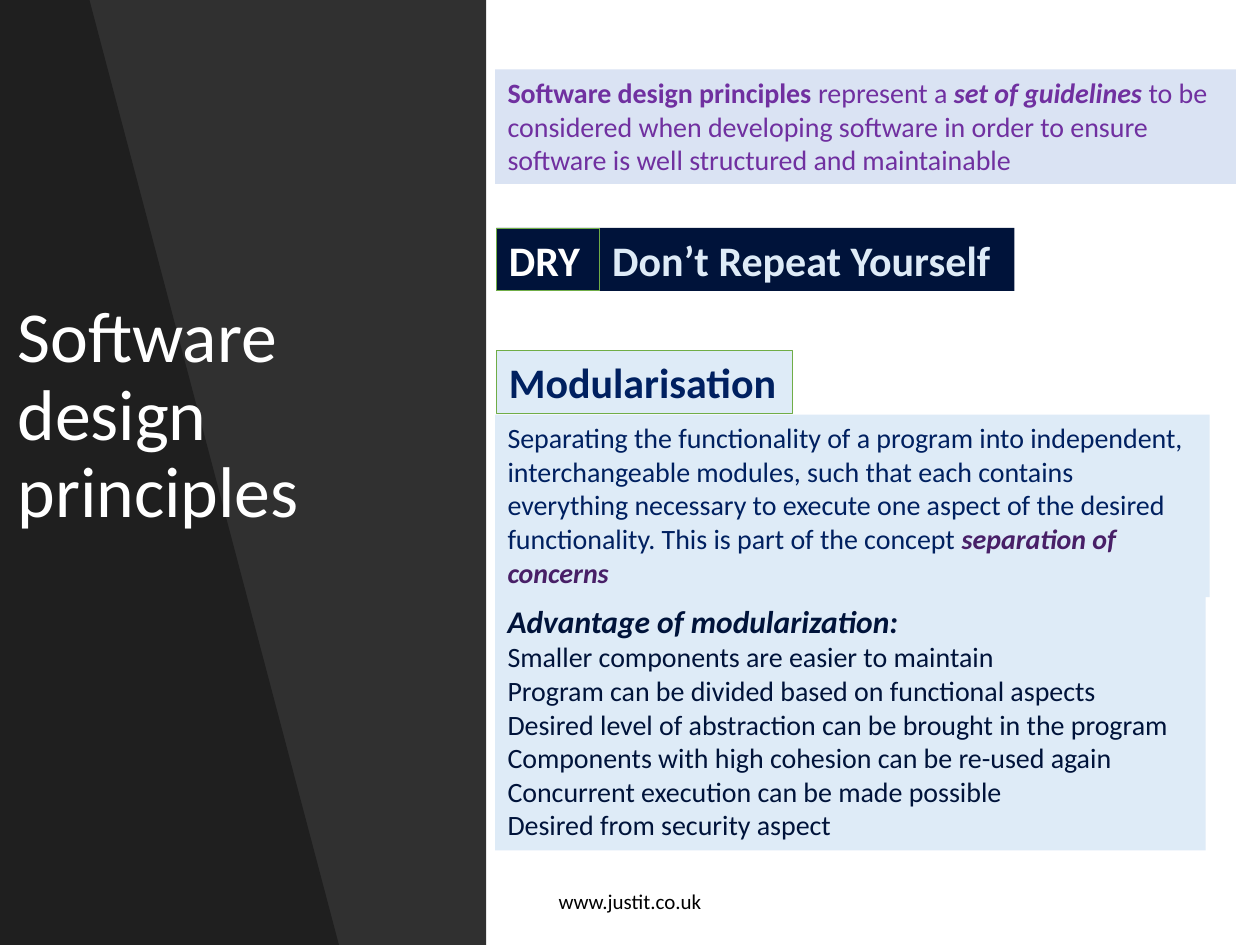
"""Build the software design principles slide."""
from pptx import Presentation
from pptx.dml.color import RGBColor
from pptx.enum.shapes import MSO_SHAPE
from pptx.enum.text import MSO_ANCHOR, PP_ALIGN
from pptx.util import Inches, Pt

RECT = MSO_SHAPE.RECTANGLE
TOP, MIDDLE = MSO_ANCHOR.TOP, MSO_ANCHOR.MIDDLE
LEFT, CENTER = PP_ALIGN.LEFT, PP_ALIGN.CENTER
UNIT = Inches(0.1)
COLS, ROWS = 100, 75
SIDE = 38.6
WHITE, BLACK, NAVY, BLUE = "FFFFFF", "000000", "00133A", "002060"
PURPLE, PLUM, PALE, LAVENDER, GREEN = "7030A0", "481F67", "DEEBF7", "DAE3F3", "70AD47"

prs = Presentation()
prs.slide_width, prs.slide_height = COLS * UNIT, ROWS * UNIT
s = prs.slides.add_slide(prs.slide_layouts[6])


def paint(sp, fill, line=None):
    sp.shadow.inherit = False
    sp.fill.solid()
    sp.fill.fore_color.rgb = RGBColor.from_string(fill)
    if line:
        sp.line.color.rgb = RGBColor.from_string(line)
        sp.line.width = Pt(0.5)
    else:
        sp.line.fill.background()


def write(sp, paragraphs, anchor=TOP, align=LEFT, spacing=None):
    tf = sp.text_frame
    tf.word_wrap = True
    tf.vertical_anchor = anchor
    for i, runs in enumerate(paragraphs):
        p = tf.add_paragraph() if i else tf.paragraphs[0]
        p.alignment = align
        p.line_spacing = spacing
        for text, size, color, style in runs:
            r = p.add_run()
            r.text = text
            r.font.name = "Calibri"
            r.font.size = Pt(size)
            r.font.color.rgb = RGBColor.from_string(color)
            r.font.bold = "b" in style
            r.font.italic = "i" in style


for width, fill in [(COLS, WHITE), (SIDE, "303030")]:
    sp = s.shapes.add_shape(RECT, 0, 0, int(width * UNIT), ROWS * UNIT)
    paint(sp, fill)

fb = s.shapes.build_freeform(0, 0, scale=UNIT / 10)
fb.add_line_segments([(71, 0), (269, 750), (0, 750)], close=True)
paint(fb.convert_to_shape(), "1F1F1F")

labels = [
    ((0.4, 19.5, SIDE, 27.2), "Software design principles", 41, WHITE, LEFT, 0.9),
    ((33.1, 69.5, 33.8, 4), "www.justit.co.uk", 12, BLACK, CENTER, None),
]
for box, text, size, color, align, spacing in labels:
    sp = s.shapes.add_textbox(*(int(v * UNIT) for v in box))
    write(sp, [[(text, size, color, "")]], MIDDLE, align, spacing)

advantages = [
    "Smaller components are easier to maintain",
    "Program can be divided based on functional aspects",
    "Desired level of abstraction can be brought in the program",
    "Components with high cohesion can be re-used again",
    "Concurrent execution can be made possible",
    "Desired from security aspect",
]
panels = [
    ((39.3, 5.5, 58.8, 9.1), LAVENDER, None, [[
        ("Software design principles", 16, PURPLE, "b"),
        (" represent a ", 16, PURPLE, ""),
        ("set of guidelines ", 16, PURPLE, "bi"),
        ("to be considered when developing software in order to ensure "
         "software is well structured and maintainable", 16, PURPLE, ""),
    ]]),
    ((47.6, 18.1, 32.9, 5), NAVY, None, [[("Don’t Repeat Yourself", 24, PALE, "b")]]),
    ((39.4, 18.1, 8.2, 5), NAVY, GREEN, [[("DRY", 24, WHITE, "b")]]),
    ((39.3, 32.9, 56.7, 14.5), PALE, None, [[
        ("Separating the functionality of a program into independent, "
         "interchangeable modules, such that each contains everything necessary "
         "to execute one aspect of the desired functionality. This is part of "
         "the concept ", 16, BLUE, ""),
        ("separation of concerns", 16, PLUM, "bi"),
    ]]),
    ((39.3, 47.3, 56.4, 20.2), PALE, None,
     [[("Advantage of modularization:", 18, NAVY, "bi")]]
     + [[(text, 16, NAVY, "")] for text in advantages]),
    ((39.4, 27.8, 23.5, 5), PALE, GREEN, [[("Modularisation", 24, BLUE, "b")]]),
]
for box, fill, line, paragraphs in panels:
    sp = s.shapes.add_shape(RECT, *(int(v * UNIT) for v in box))
    paint(sp, fill, line)
    write(sp, paragraphs)

prs.save("out.pptx")
